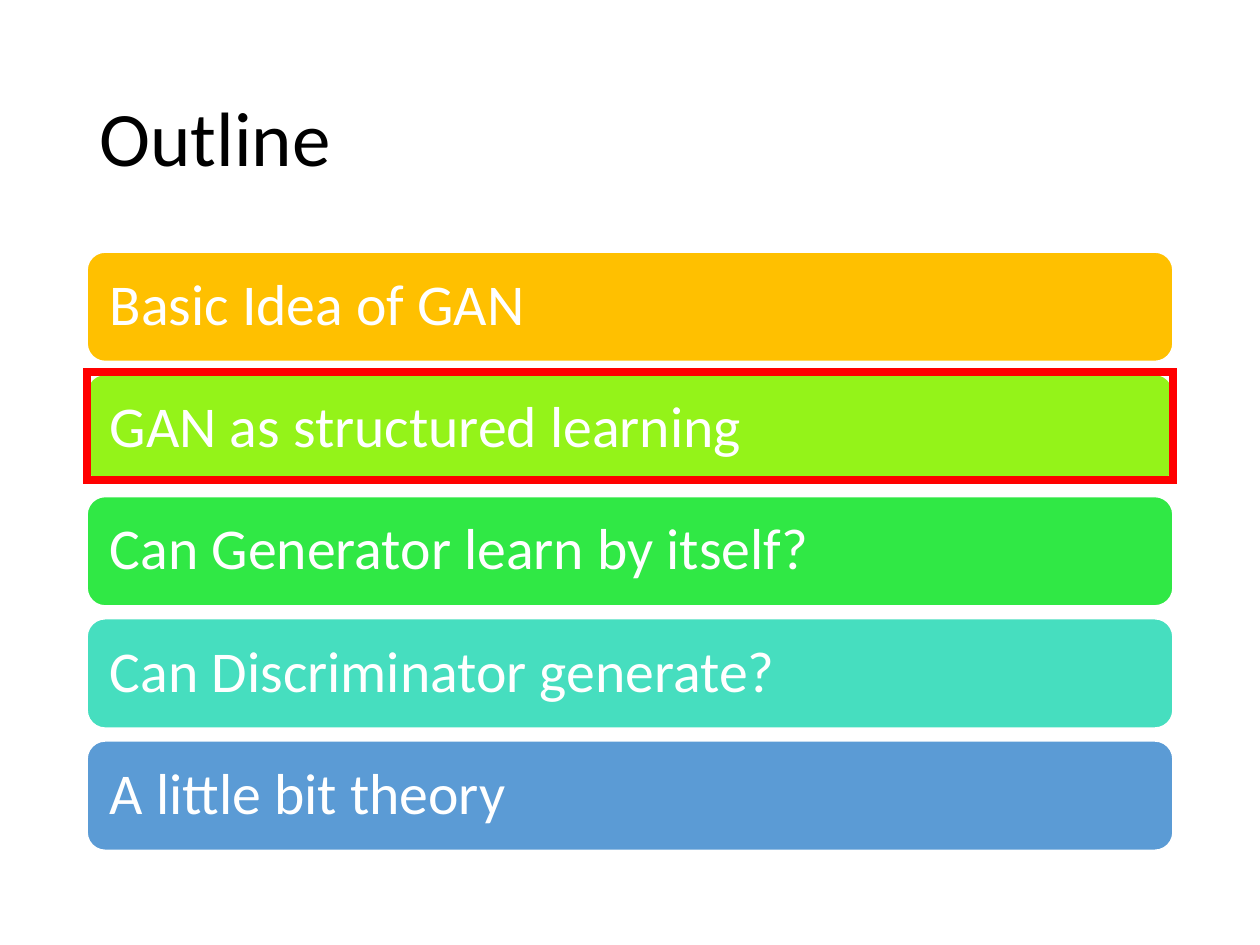
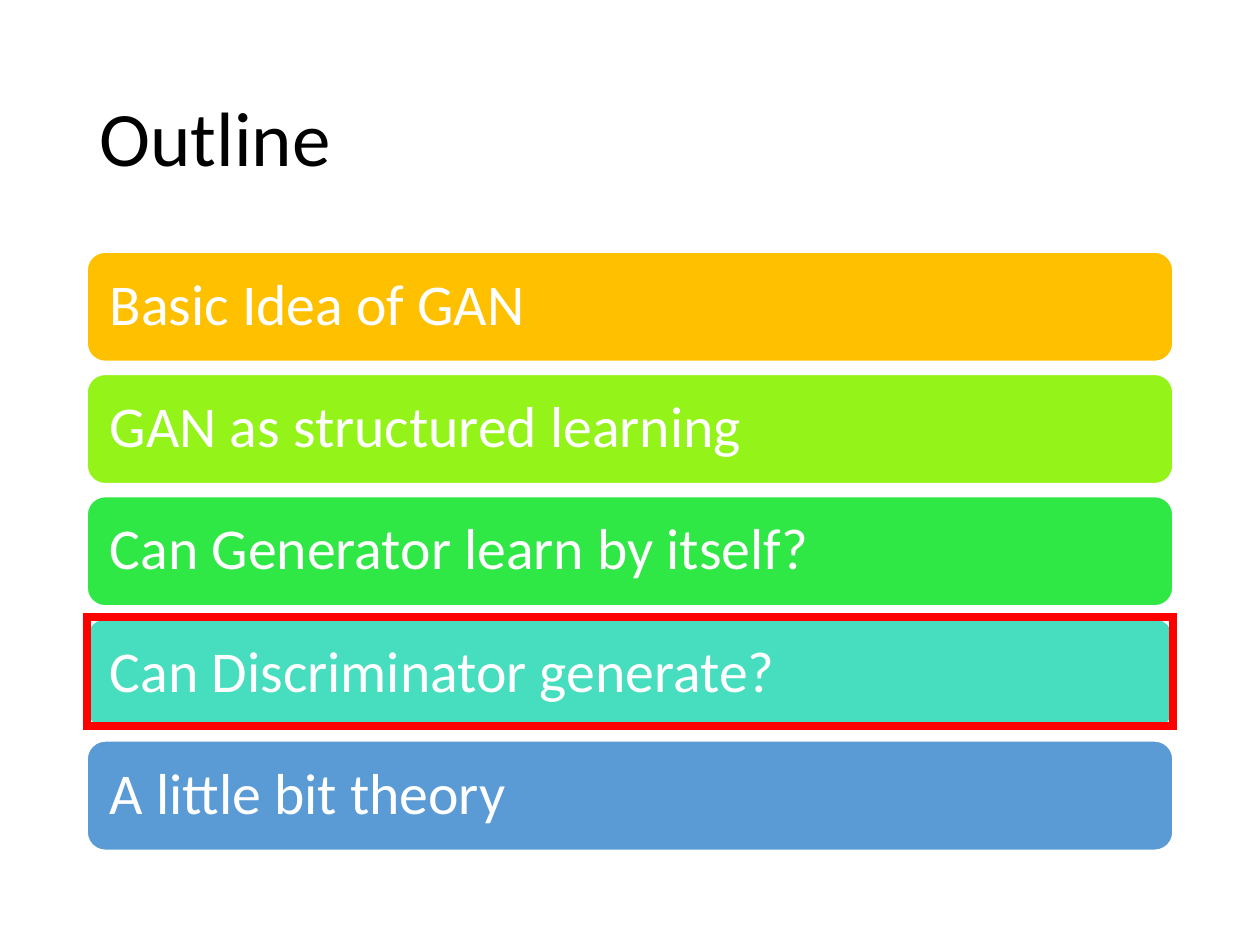
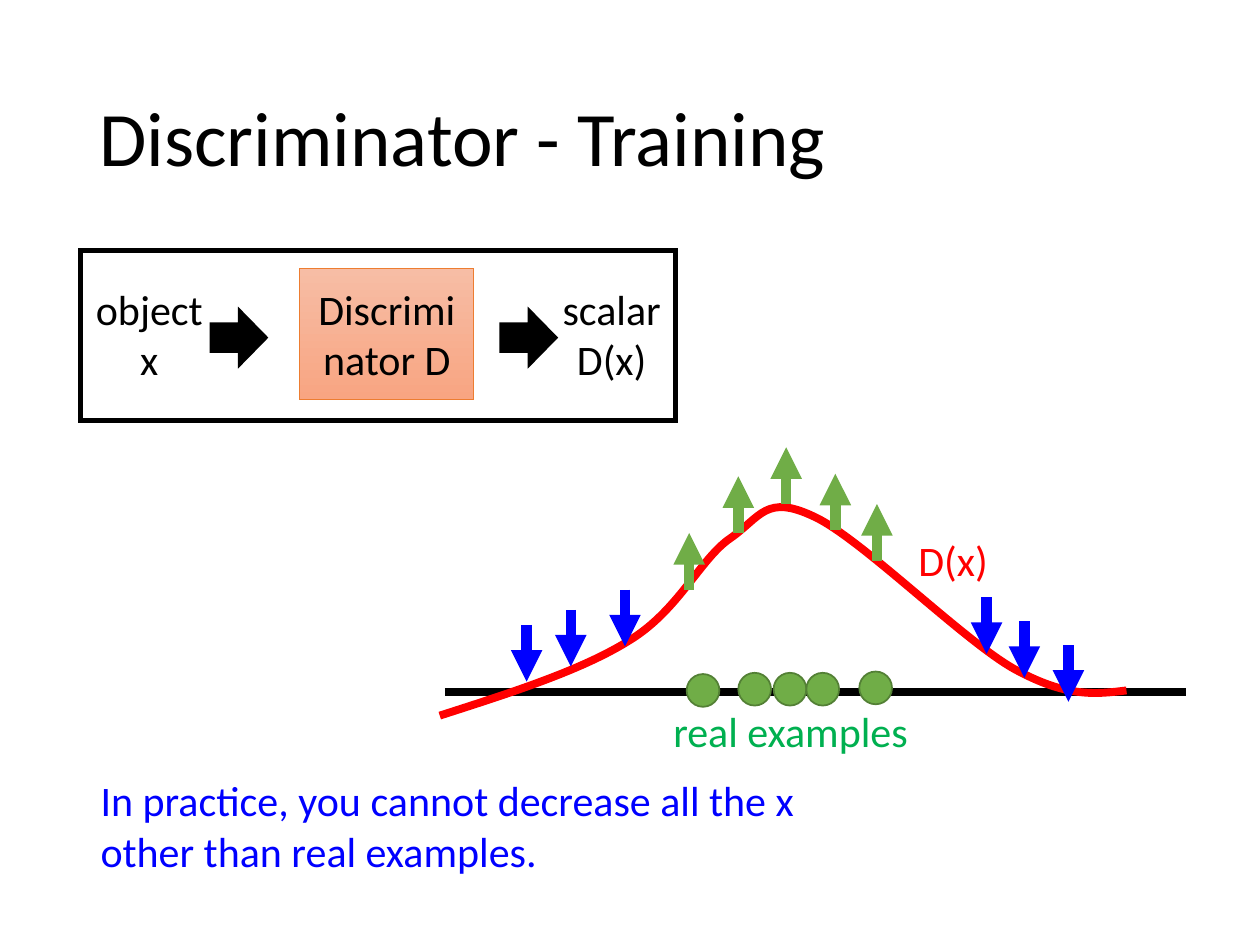
import lxml.etree
import pptx
import pptx.dml.color
import pptx.enum.shapes
import pptx.enum.text
import pptx.oxml.ns
import pptx.shapes.connector
import pptx.util

Inches = pptx.util.Inches
qn = pptx.oxml.ns.qn
SHAPE = pptx.enum.shapes.MSO_SHAPE
STRAIGHT = pptx.enum.shapes.MSO_CONNECTOR.STRAIGHT
ALIGN = pptx.enum.text.PP_ALIGN
ANCHOR = pptx.enum.text.MSO_ANCHOR

BLACK, WHITE, RED, BLUE = "000000", "FFFFFF", "FF0000", "0000FF"
GREEN, DARK_GREEN, LABEL_GREEN = "70AD47", "538035", "00B050"
LEFT, WIDTH = 0.69, 8.62


def paint(shape, line, weight, fill=None):
    """Set line and fill from hex strings, with sharp corners and no shadow."""
    shape.line.color.rgb = pptx.dml.color.RGBColor.from_string(line)
    shape.line.width = pptx.util.Pt(weight)
    if fill:
        shape.fill.solid()
        shape.fill.fore_color.rgb = pptx.dml.color.RGBColor.from_string(fill)
    elif not isinstance(shape, pptx.shapes.connector.Connector):
        shape.fill.background()
    properties = shape.element.spPr
    lxml.etree.SubElement(properties.find(qn("a:ln")), qn("a:miter"), lim="800000")
    lxml.etree.SubElement(properties, qn("a:effectLst"))


def write_text(shape, text, size=24, color=BLACK, align=ALIGN.LEFT,
               anchor=ANCHOR.TOP, spacing=1.0, inset=0.1, wrap=True):
    frame = shape.text_frame
    frame.word_wrap = wrap
    frame.vertical_anchor = anchor
    frame.margin_left = frame.margin_right = Inches(inset)
    frame.text = text
    for paragraph in frame.paragraphs:
        paragraph.alignment = align
        paragraph.line_spacing = spacing
        paragraph.font.name = "Calibri"
        paragraph.font.size = pptx.util.Pt(size)
        paragraph.font.color.rgb = pptx.dml.color.RGBColor.from_string(color)


presentation = pptx.Presentation()
presentation.slide_width, presentation.slide_height = Inches(10), Inches(7.5)

# Slides with their titles
slides = []
for title in ["Outline", "Outline", "Discriminator - Training"]:
    slide = presentation.slides.add_slide(presentation.slide_layouts[6])
    title_box = slide.shapes.add_textbox(Inches(LEFT), Inches(0.4), Inches(WIDTH), Inches(1.45))
    write_text(title_box, title, size=44, anchor=ANCHOR.MIDDLE, spacing=0.9)
    slides.append(slide)

# Outline slides: coloured bars, with a red frame around the current topic
topics = [
    ("Basic Idea of GAN", "FFC000"),
    ("GAN as structured learning", "94F319"),
    ("Can Generator learn by itself?", "30E845"),
    ("Can Discriminator generate?", "46DEBF"),
    ("A little bit theory", "5B9BD5"),
]
BAR_TOP, BAR_STEP, BAR_HEIGHT = 2, 0.97, 0.87
for slide, highlight_top in zip(slides, [2.95, 4.9]):
    for index, (topic, color) in enumerate(topics):
        bar = slide.shapes.add_shape(SHAPE.ROUNDED_RECTANGLE, Inches(LEFT),
                                     Inches(BAR_TOP + index * BAR_STEP),
                                     Inches(WIDTH), Inches(BAR_HEIGHT))
        paint(bar, WHITE, 1, color)
        write_text(bar, topic, size=33, color=WHITE, anchor=ANCHOR.MIDDLE,
                   spacing=0.9, inset=0.14)
    highlight = slide.shapes.add_shape(SHAPE.RECTANGLE, Inches(LEFT), Inches(highlight_top),
                                       Inches(WIDTH), Inches(0.86))
    paint(highlight, RED, 4.5)

# Training slide: axis
slide = slides[2]
axis = slide.shapes.add_connector(STRAIGHT, Inches(3.53), Inches(5.49), Inches(9.41), Inches(5.49))
paint(axis, BLACK, 4.5)

# Curve D(x) in hundredths of an inch, because freeform points are whole numbers:
# a start point, then three control points for each Bezier segment
curve_points = [
    (349, 568),
    (405, 550), (462, 532), (500, 508),
    (539, 484), (556, 443), (580, 427),
    (604, 410), (608, 392), (646, 410),
    (683, 427), (764, 508), (805, 531),
    (847, 554), (870, 551), (894, 548),
]
builder = slide.shapes.build_freeform(*curve_points[0], scale=Inches(0.01))
builder.add_line_segments(curve_points[1:], close=False)
curve = builder.convert_to_shape()
paint(curve, RED, 4.5)
line_steps = list(curve.element.iter(qn("a:lnTo")))
for start in range(0, len(line_steps), 3):
    bezier = lxml.etree.Element(qn("a:cubicBezTo"))
    line_steps[start].addprevious(bezier)
    for step in line_steps[start:start + 3]:
        bezier.append(step[0])
        step.getparent().remove(step)

# Real examples on the axis
for left, top in [(6.14, 5.34), (5.86, 5.34), (6.4, 5.34), (5.45, 5.35), (6.82, 5.33)]:
    example = slide.shapes.add_shape(SHAPE.OVAL, Inches(left), Inches(top),
                                     Inches(0.26), Inches(0.26))
    paint(example, DARK_GREEN, 1, GREEN)

# Arrows: raise D(x) at real examples, lower it elsewhere
raised = [(5.47, 4.68), (5.86, 4.23), (6.24, 4), (6.63, 4.21), (6.96, 4.45)]
lowered = [(4.96, 4.68), (4.53, 4.84), (4.18, 4.96), (8.48, 5.12), (8.13, 4.93), (7.83, 4.74)]
for starts, change, color in [(raised, -0.45, GREEN), (lowered, 0.45, BLUE)]:
    for x, y in starts:
        arrow = slide.shapes.add_connector(STRAIGHT, Inches(x), Inches(y),
                                           Inches(x), Inches(y + change))
        paint(arrow, color, 6)
        line = arrow.element.spPr.find(qn("a:ln"))
        lxml.etree.SubElement(line, qn("a:tailEnd"), type="triangle")

# Discriminator box
discriminator = slide.shapes.add_shape(SHAPE.RECTANGLE, Inches(2.38), Inches(2.13),
                                       Inches(1.38), Inches(1.04))
paint(discriminator, "ED7D31", 0.5)
discriminator.fill.gradient()
discriminator.fill.gradient_angle = 270
for stop, color in zip(discriminator.fill.gradient_stops, ["F7BDA5", "F8A582"]):
    stop.color.rgb = pptx.dml.color.RGBColor.from_string(color)
write_text(discriminator, "Discriminator D", align=ALIGN.CENTER, anchor=ANCHOR.MIDDLE)

# Arrows into and out of the discriminator
for left in [1.67, 3.97]:
    block_arrow = slide.shapes.add_shape(SHAPE.RIGHT_ARROW, Inches(left), Inches(2.45),
                                         Inches(0.45), Inches(0.46))
    paint(block_arrow, BLACK, 1, BLACK)

# Labels
labels = [
    ("D(x)", (7.19, 4.19, 0.76, 0.5), dict(color=RED, wrap=False)),
    ("real examples", (5.11, 5.55, 2.33, 0.5), dict(color=LABEL_GREEN, align=ALIGN.CENTER)),
    ("In practice, you cannot decrease all the x other than real examples.",
     (0.7, 6.1, 5.93, 0.91), dict(color=BLUE)),
    ("object\nx", (0.44, 2.2, 1.49, 0.91), dict(align=ALIGN.CENTER)),
    ("scalar\nD(x)", (4.11, 2.2, 1.49, 0.91), dict(align=ALIGN.CENTER)),
]
for text, place, text_format in labels:
    label = slide.shapes.add_textbox(*[Inches(length) for length in place])
    write_text(label, text, **text_format)

# Frame around the discriminator diagram
diagram_frame = slide.shapes.add_shape(SHAPE.RECTANGLE, Inches(0.64), Inches(1.99),
                                       Inches(4.72), Inches(1.35))
paint(diagram_frame, BLACK, 3)

presentation.save("out.pptx")
